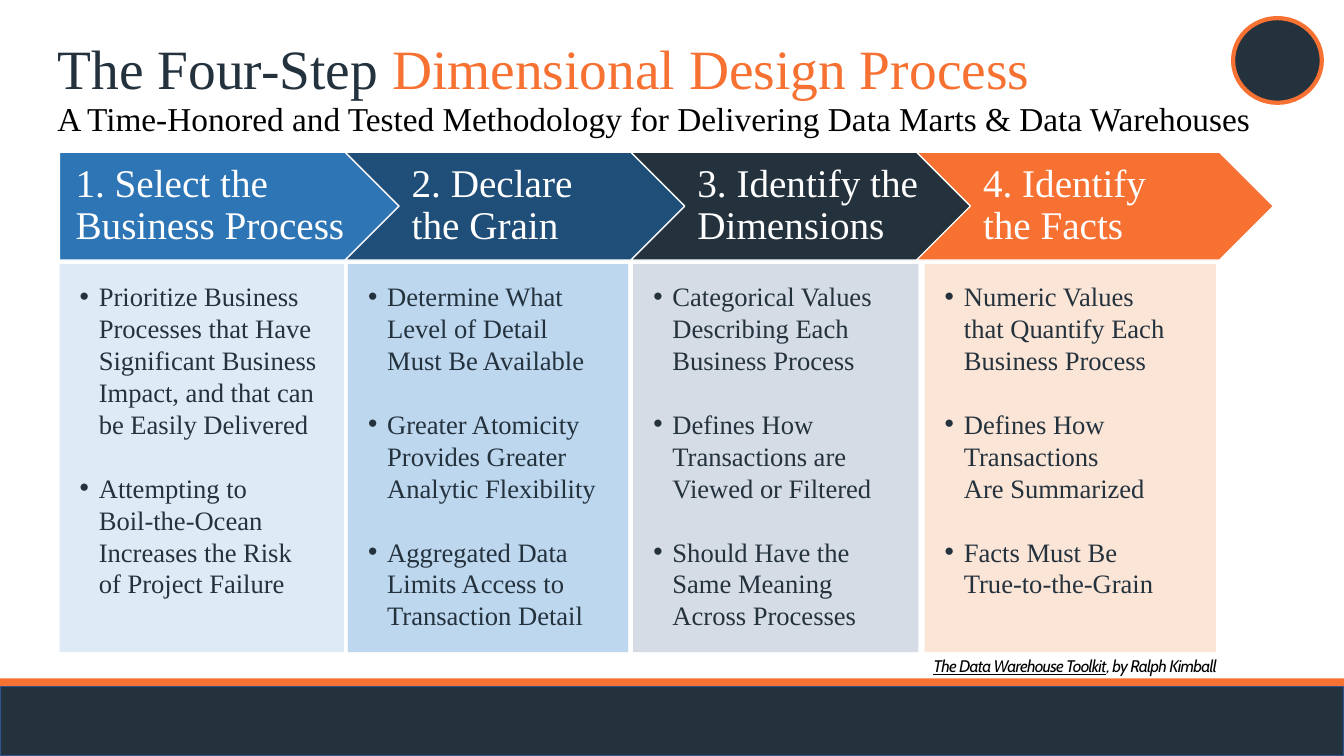
"""Build the slide on the four-step dimensional design process."""
from dataclasses import dataclass

from pptx import Presentation
from pptx.dml.color import RGBColor
from pptx.enum.shapes import MSO_SHAPE
from pptx.enum.text import MSO_ANCHOR, MSO_AUTO_SIZE, PP_ALIGN
from pptx.oxml import parse_xml
from pptx.oxml.ns import nsdecls
from pptx.util import Inches, Pt

RECT, OVAL = MSO_SHAPE.RECTANGLE, MSO_SHAPE.OVAL
PENTAGON, CHEVRON = MSO_SHAPE.PENTAGON, MSO_SHAPE.CHEVRON
TOP, MIDDLE = MSO_ANCHOR.TOP, MSO_ANCHOR.MIDDLE
LEFT, RIGHT = PP_ALIGN.LEFT, PP_ALIGN.RIGHT
NO_AUTOFIT = MSO_AUTO_SIZE.NONE

SERIF, SANS = "Times New Roman", "Cabin"
NAVY, ORANGE, WHITE, BLACK = "24323E", "F67132", "FFFFFF", "000000"

STEPS_LEFT, STEPS_TOP = 0.59, 1.51
STEP_PITCH = 8.5 / 3
STEP_WIDTH, STEP_HEIGHT = 3.54, 1.07
PANEL_TOP, PANEL_HEIGHT = 2.62, 3.85
BULLET_INDENT = 0.19


@dataclass(frozen=True)
class Step:
    heading: str
    color: str
    panel_color: str
    panel_left: float
    panel_width: float
    points: tuple[str, ...]


STEPS = (
    Step("1. Select the\nBusiness Process", "2E75B6", "DEEBF7", 0.59, 2.82, (
        "Prioritize Business Processes that Have Significant Business Impact, "
        "and that can be Easily Delivered",
        "Attempting to\nBoil-the-Ocean Increases the Risk\nof Project Failure",
    )),
    Step("2. Declare\nthe Grain", "1F4E79", "BDD7EE", 3.45, 2.78, (
        "Determine What Level of Detail Must Be Available",
        "Greater Atomicity Provides Greater Analytic Flexibility",
        "Aggregated Data Limits Access to Transaction Detail",
    )),
    Step("3. Identify the Dimensions", NAVY, "D6DCE5", 6.28, 2.83, (
        "Categorical Values Describing Each Business Process",
        "Defines How Transactions are Viewed or Filtered",
        "Should Have the Same Meaning Across Processes",
    )),
    Step("4. Identify\nthe Facts", ORANGE, "FBE5D6", 9.17, 2.89, (
        "Numeric Values\nthat Quantify Each Business Process",
        "Defines How Transactions\nAre Summarized",
        "Facts Must Be\nTrue-to-the-Grain",
    )),
)


def rgb(color: str) -> RGBColor:
    """Turn a hex string into a colour."""
    return RGBColor.from_string(color)


def add_text(paragraph, text: str, *, size: float, color: str, font: str = SERIF,
             italic: bool = False, underline: bool = False, tracking: int = 0) -> None:
    """Append formatted text to a paragraph, with a line break at each newline."""
    for index, line in enumerate(text.split("\n")):
        if index:
            paragraph.add_line_break()
        run = paragraph.add_run()
        run.text = line
        run.font.name, run.font.size = font, Pt(size)
        run.font.color.rgb = rgb(color)
        run.font.italic, run.font.underline = italic, underline
        if tracking:
            run.font._element.set("spc", str(tracking))


def prepare_frame(frame, insets: tuple[float, float, float, float], anchor=TOP):
    """Set wrapping, anchor and insets, and return the first paragraph."""
    frame.word_wrap, frame.auto_size = True, NO_AUTOFIT
    frame.vertical_anchor = anchor
    (frame.margin_left, frame.margin_top,
     frame.margin_right, frame.margin_bottom) = map(Inches, insets)
    first = frame.paragraphs[0]
    first.alignment = LEFT
    return first


def add_box(slide, left: float, top: float, width: float, height: float,
            insets: tuple[float, float, float, float] = (0.1, 0.05, 0.1, 0.05),
            anchor=TOP):
    """Add a text box and return its first paragraph."""
    box = slide.shapes.add_textbox(*map(Inches, (left, top, width, height)))
    return prepare_frame(box.text_frame, insets, anchor)


def add_figure(slide, kind, left: float, top: float, width: float, height: float,
               fill: str, line: str = "", line_width: float = 1):
    """Add a flat filled preset shape, outlined when a line colour is given."""
    figure = slide.shapes.add_shape(kind, *map(Inches, (left, top, width, height)))
    figure.shadow.inherit = False
    figure.fill.solid()
    figure.fill.fore_color.rgb = rgb(fill)
    if line:
        figure.line.color.rgb = rgb(line)
        figure.line.width = Pt(line_width)
    else:
        figure.line.fill.background()
    return figure


def add_bullet(paragraph) -> None:
    """Give a paragraph a round bullet with a hanging indent."""
    properties = paragraph._p.get_or_add_pPr()
    indent = Inches(BULLET_INDENT)
    properties.set("marL", str(indent))
    properties.set("indent", str(-indent))
    for tag in ('a:buFont {} typeface="Arial"', 'a:buChar {} char="•"'):
        properties.append(parse_xml(f"<{tag.format(nsdecls('a'))}/>"))


def add_panel(slide, step: Step) -> None:
    """Add the tinted panel with the points of one step."""
    panel = add_figure(slide, RECT, step.panel_left, PANEL_TOP,
                       step.panel_width, PANEL_HEIGHT, step.panel_color)
    frame = panel.text_frame
    paragraph = prepare_frame(frame, (0.2, 0.16, 0.2, 0.16))
    for index, point in enumerate(step.points):
        if index:
            paragraph = frame.add_paragraph()
            paragraph.alignment = LEFT
            paragraph.space_before = Pt(22.8)
        add_bullet(paragraph)
        add_text(paragraph, point, size=19, color=NAVY)


def add_heading(slide, index: int, step: Step) -> None:
    """Add the arrow and the heading of one step."""
    left = STEPS_LEFT + index * STEP_PITCH
    kind = CHEVRON if index else PENTAGON
    add_figure(slide, kind, left, STEPS_TOP, STEP_WIDTH, STEP_HEIGHT, step.color, WHITE)
    offset, width, inset = (0.54, 2.47, 0.12) if index else (0, 3.27, 0.16)
    heading = add_box(slide, left + offset, STEPS_TOP, width, STEP_HEIGHT,
                      (inset, 0.08, 0.04, 0.08), MIDDLE)
    heading.line_spacing = 0.9
    add_text(heading, step.heading, size=28, color=WHITE)


def add_titles(slide) -> None:
    """Fill the title placeholder and add the subtitle."""
    title = slide.shapes.title
    title.left, title.top, title.width, title.height = map(
        Inches, (0.47, 0.4, 11.23, 0.62))
    headline = prepare_frame(title.text_frame, (0.1, 0.05, 0.1, 0.05), MIDDLE)
    headline.line_spacing = 0.9
    add_text(headline, "The Four-Step ", size=39.6, color=NAVY)
    add_text(headline, "Dimensional Design Process", size=39.6, color=ORANGE)
    subtitle = add_box(slide, 0.47, 1.03, 12.23, 0.4)
    subtitle.line_spacing, subtitle.space_before = 0.7, Pt(10)
    add_text(subtitle, "A Time-Honored and Tested Methodology for Delivering "
             "Data Marts & Data Warehouses", size=23.8, color=BLACK)


def add_citation(slide) -> None:
    """Add the source line under the panels."""
    citation = add_box(slide, 8.42, 6.51, 3.65, 0.2, (0, 0, 0, 0))
    citation.alignment = RIGHT
    for text, underline in (("The Data Warehouse Toolkit", True),
                            (", by Ralph Kimball", False)):
        add_text(citation, text, size=12, color=BLACK, font=SANS,
                 italic=True, underline=underline, tracking=-50)


def main() -> None:
    """Build and save the presentation."""
    presentation = Presentation()
    presentation.slide_width, presentation.slide_height = Inches(13.33), Inches(7.5)
    slide = presentation.slides.add_slide(presentation.slide_layouts[5])
    add_figure(slide, RECT, 0, 6.73, 13.33, 0.28, ORANGE)
    add_figure(slide, RECT, 0, 6.81, 13.33, 0.69, NAVY, "325491")
    add_figure(slide, OVAL, 12.23, 0.18, 0.88, 0.84, NAVY, ORANGE, 3)
    add_titles(slide)
    for index, step in enumerate(STEPS):
        add_heading(slide, index, step)
    for step in STEPS:
        add_panel(slide, step)
    add_citation(slide)
    presentation.save("out.pptx")


if __name__ == "__main__":
    main()
